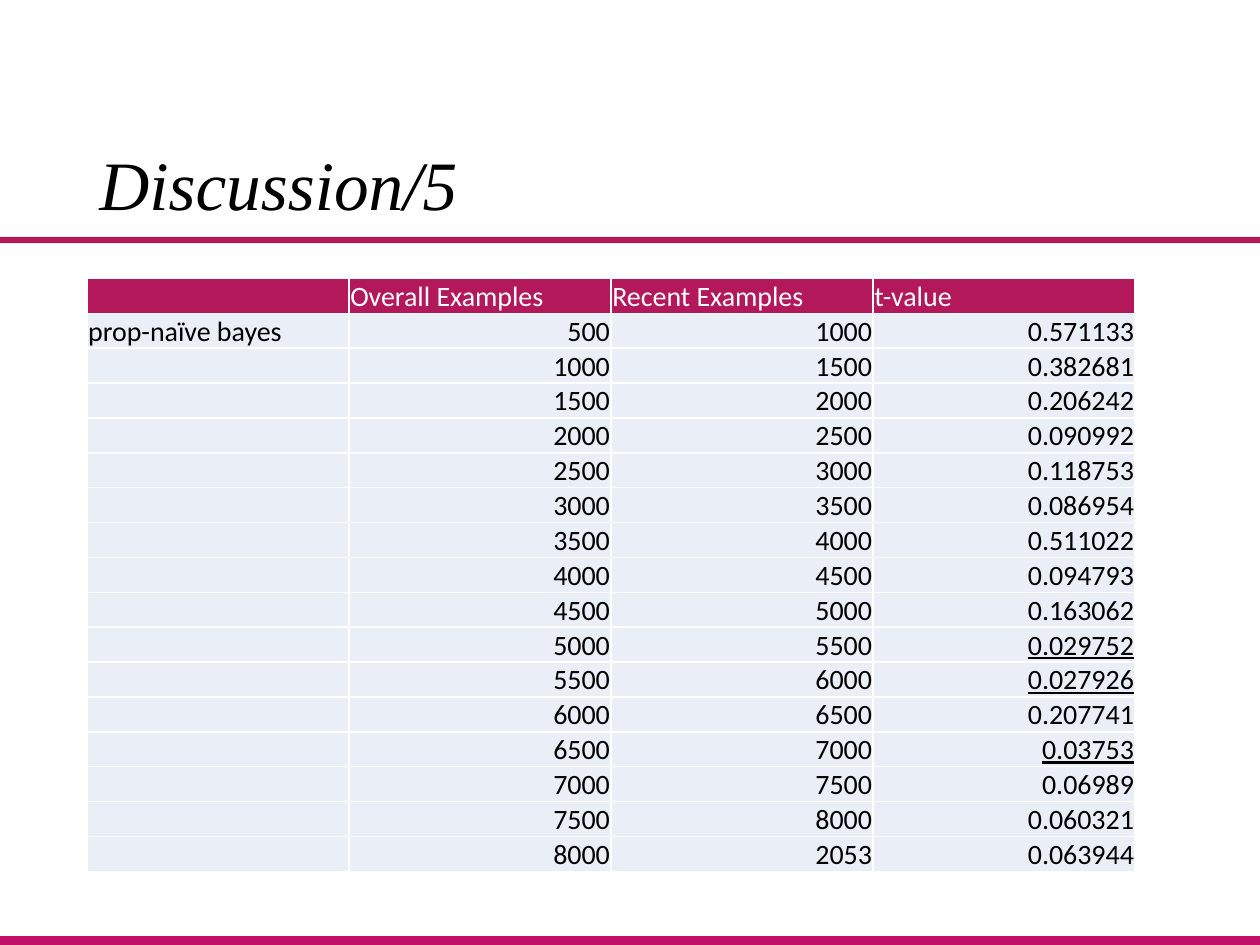
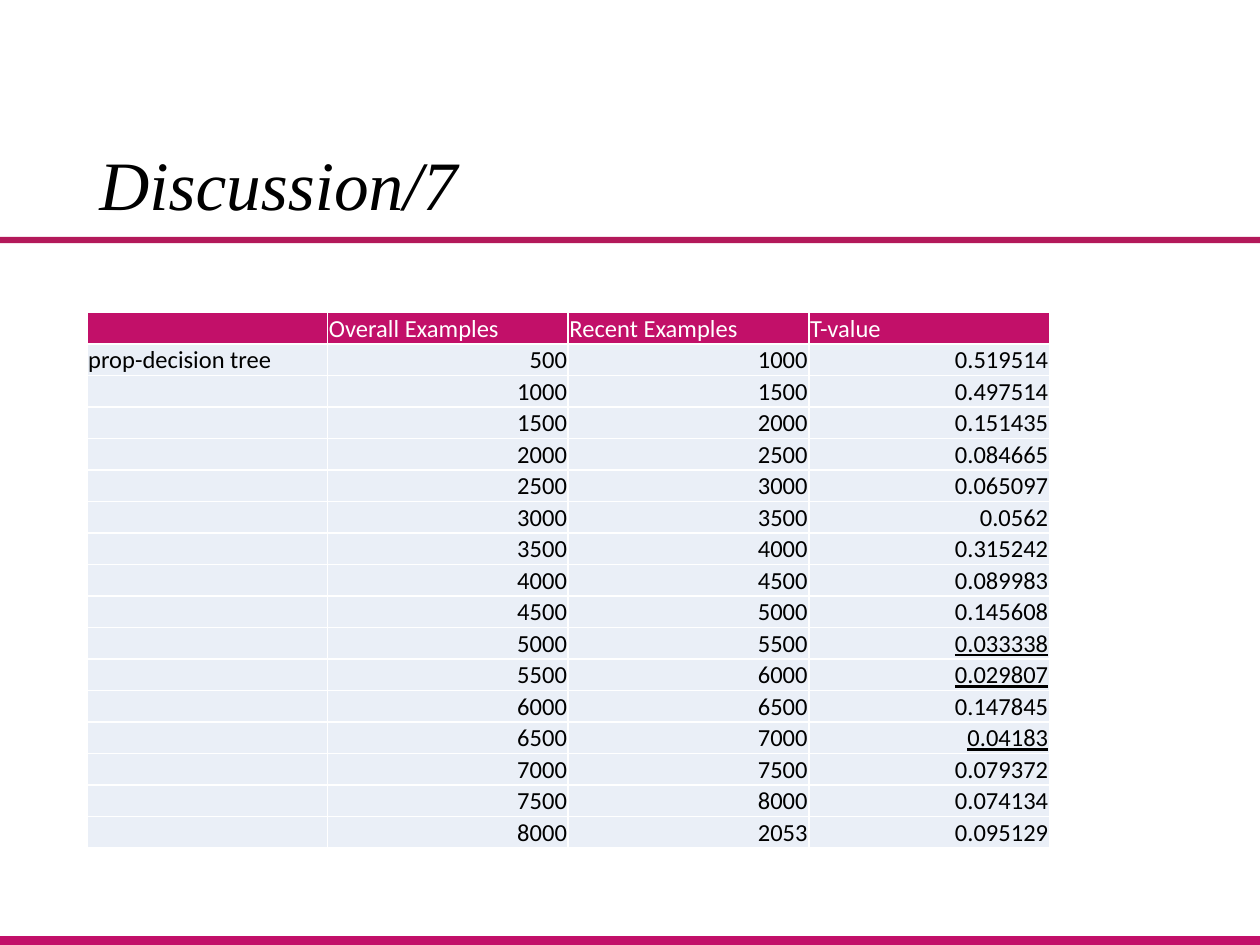
from dataclasses import dataclass

import lxml.etree
import pptx
import pptx.dml.color
import pptx.enum.shapes
import pptx.enum.text
import pptx.oxml.ns
import pptx.util

Inches = pptx.util.Inches
Align = pptx.enum.text.PP_ALIGN
Anchor = pptx.enum.text.MSO_ANCHOR

COLOURS = {
    "white": "FFFFFF",
    "black": "000000",
    "magenta": "C21069",
    "crimson": "B3195A",
    "cell": "EAEFF7",
}
TITLE_FONT = "Times New Roman"
TABLE_FONT = "Calibri"
SIGNIFICANCE = 0.05  # t-values below this are underlined
STEP = 500
LAST_RECENT = 2053


@dataclass
class Band:
    top: float
    height: float
    colour: str


@dataclass
class ResultPage:
    title: str
    method: str
    value_heading: str
    values: list[str]
    top: float
    column_width: float
    row_height: float
    font_size: int
    header_colour: str


BANDS = [Band(7.43, 0.07, "magenta"), Band(1.88, 0.05, "crimson")]

PAGES = [
    ResultPage(
        "Discussion/5", "prop-naïve bayes", "t-value",
        ["0.571133", "0.382681", "0.206242", "0.090992", "0.118753", "0.086954",
         "0.511022", "0.094793", "0.163062", "0.029752", "0.027926", "0.207741",
         "0.03753", "0.06989", "0.060321", "0.063944"],
        top=2.21, column_width=2.08, row_height=0.27, font_size=16,
        header_colour="crimson",
    ),
    ResultPage(
        "Discussion/7", "prop-decision tree", "T-value",
        ["0.519514", "0.497514", "0.151435", "0.084665", "0.065097", "0.0562",
         "0.315242", "0.089983", "0.145608", "0.033338", "0.029807", "0.147845",
         "0.04183", "0.079372", "0.074134", "0.095129"],
        top=2.48, column_width=1.91, row_height=0.25, font_size=14,
        header_colour="magenta",
    ),
]


def rgb(name: str) -> pptx.dml.color.RGBColor:
    return pptx.dml.color.RGBColor.from_string(COLOURS[name])


def add_span(para, text: str, font: str, size: float, colour: str):
    span = para.add_run()
    span.text = text
    span.font.name = font
    span.font.size = pptx.util.Pt(size)
    span.font.color.rgb = rgb(colour)
    return span


def draw_band(page, band: Band) -> None:
    shape = page.shapes.add_shape(
        pptx.enum.shapes.MSO_SHAPE.RECTANGLE,
        Inches(-0.01), Inches(band.top), Inches(10.01), Inches(band.height),
    )
    shape.shadow.inherit = False
    shape.fill.solid()
    shape.fill.fore_color.rgb = rgb(band.colour)
    shape.line.fill.background()


def draw_title(page, text: str) -> None:
    box = page.shapes.add_textbox(Inches(0.69), Inches(1.13), Inches(8.62), Inches(0.72))
    frame = box.text_frame
    frame.word_wrap = True
    frame.vertical_anchor = Anchor.MIDDLE
    para = frame.paragraphs[0]
    para.line_spacing = 0.9
    add_span(para, text, TITLE_FONT, 39.6, "black").font.italic = True


def add_borders(cell) -> None:
    """Give a cell white one-point edges; call before setting its fill."""
    qn = pptx.oxml.ns.qn
    properties = cell._tc.get_or_add_tcPr()
    for edge in ("a:lnL", "a:lnR", "a:lnT", "a:lnB"):
        line = lxml.etree.SubElement(properties, qn(edge), w=str(pptx.util.Pt(1)))
        fill = lxml.etree.SubElement(line, qn("a:solidFill"))
        lxml.etree.SubElement(fill, qn("a:srgbClr"), val=COLOURS["white"])


def fill_cell(cell, text: str, size: int, fill: str, colour: str, align) -> None:
    add_borders(cell)
    cell.fill.solid()
    cell.fill.fore_color.rgb = rgb(fill)
    cell.margin_left = cell.margin_right = cell.margin_top = Inches(0.01)
    cell.margin_bottom = 0
    cell.vertical_anchor = Anchor.BOTTOM
    para = cell.text_frame.paragraphs[0]
    para.alignment = align
    if text:
        span = add_span(para, text, TABLE_FONT, size, colour)
        if "." in text and float(text) < SIGNIFICANCE:
            span.font.underline = True
    else:
        # An empty cell still needs the font size, or its row grows
        lxml.etree.SubElement(
            para._p, pptx.oxml.ns.qn("a:endParaRPr"), sz=str(size * 100))


def table_rows(result: ResultPage) -> list[list[str]]:
    rows = [["", "Overall Examples", "Recent Examples", result.value_heading]]
    count = len(result.values)
    for number, value in enumerate(result.values, start=1):
        method = result.method if number == 1 else ""
        recent = LAST_RECENT if number == count else (number + 1) * STEP
        rows.append([method, str(number * STEP), str(recent), value])
    return rows


def draw_table(page, result: ResultPage) -> None:
    rows = table_rows(result)
    columns = len(rows[0])
    table = page.shapes.add_table(
        len(rows), columns, Inches(0.69), Inches(result.top),
        Inches(result.column_width * columns), Inches(result.row_height * len(rows)),
    ).table
    table.first_row = False
    table.horz_banding = False
    for column in table.columns:
        column.width = Inches(result.column_width)
    for row_index, texts in enumerate(rows):
        table.rows[row_index].height = Inches(result.row_height)
        header = row_index == 0
        for column_index, text in enumerate(texts):
            fill_cell(
                table.cell(row_index, column_index), text, result.font_size,
                fill=result.header_colour if header else "cell",
                colour="white" if header else "black",
                align=Align.LEFT if header or column_index == 0 else Align.RIGHT,
            )


deck = pptx.Presentation()
deck.slide_width = Inches(10)
deck.slide_height = Inches(7.5)

for result in PAGES:
    page = deck.slides.add_slide(deck.slide_layouts[6])
    page.background.fill.solid()
    page.background.fill.fore_color.rgb = rgb("white")
    # Shared bands and title
    for band in BANDS:
        draw_band(page, band)
    draw_title(page, result.title)
    # Results
    draw_table(page, result)

deck.save("out.pptx")
